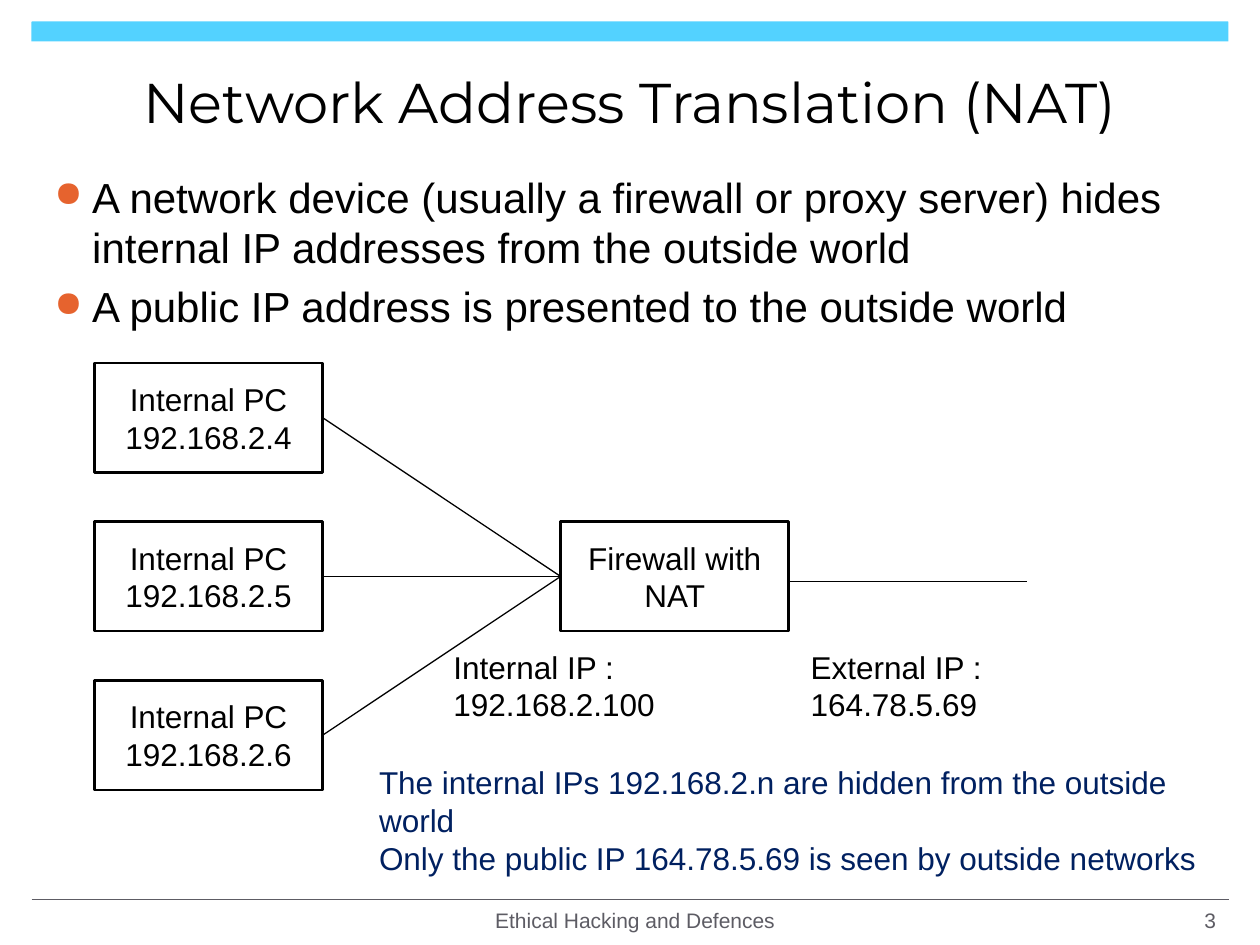
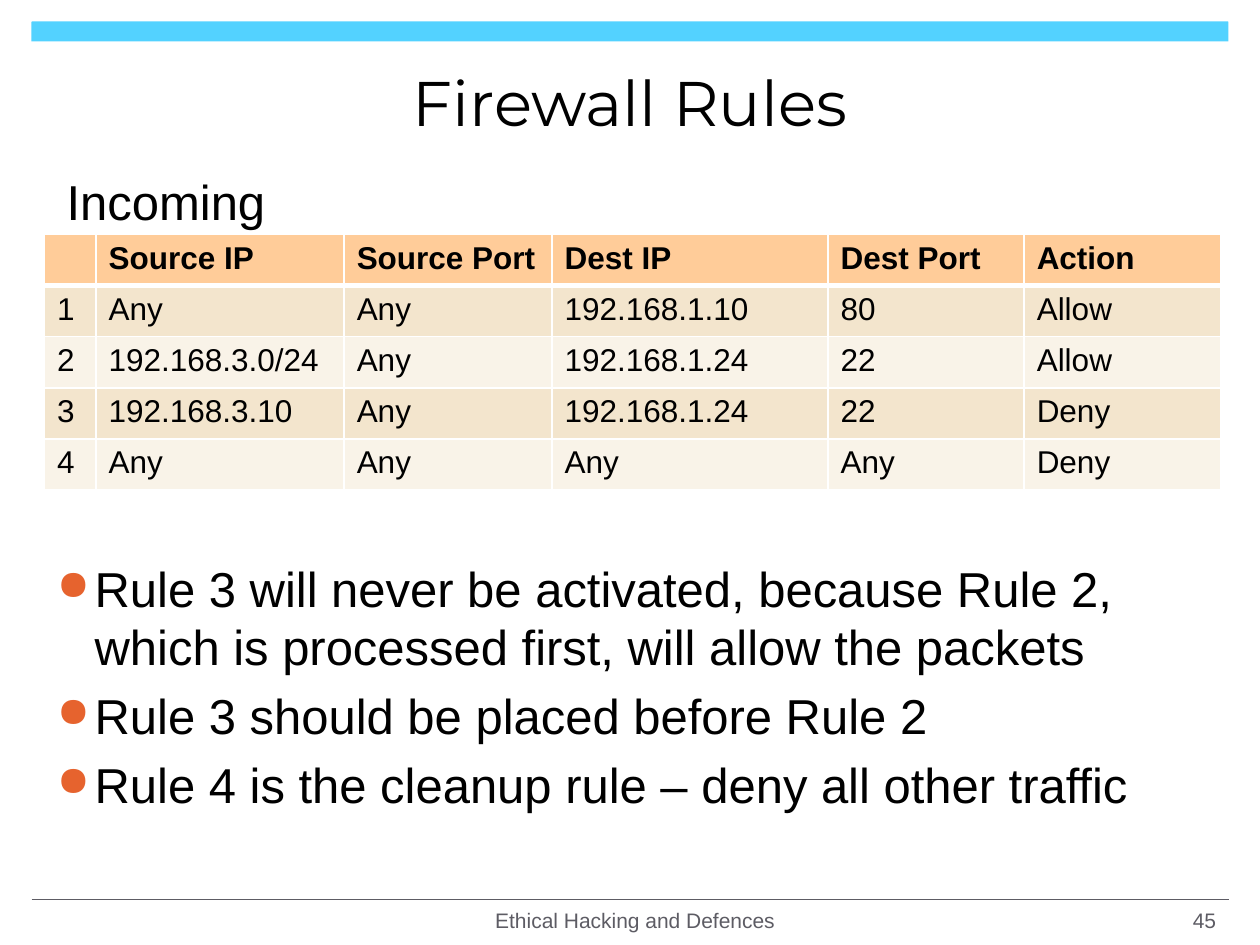
from lxml import etree
from pptx import Presentation
from pptx.dml.color import RGBColor
from pptx.enum import shapes, text
from pptx.oxml import ns
from pptx.util import Pt

BLACK = RGBColor(0x00, 0x00, 0x00)
WHITE = RGBColor(0xFF, 0xFF, 0xFF)
SKY = RGBColor(0x53, 0xD2, 0xFF)
GREY = RGBColor(0x5D, 0x5C, 0x64)
NAVY = RGBColor(0x00, 0x20, 0x60)
ORANGE = RGBColor(0xE6, 0x63, 0x2E)
PEACH = RGBColor(0xFF, 0xCC, 0x99)
SAND = RGBColor(0xF3, 0xE5, 0xCD)
CREAM = RGBColor(0xF9, 0xF3, 0xE8)

BODY_FONT, TITLE_FONT = "Arial", "Montserrat"
FOOTER = "Ethical Hacking and Defences"
LEFT, CENTER, RIGHT = text.PP_ALIGN.LEFT, text.PP_ALIGN.CENTER, text.PP_ALIGN.RIGHT
TOP, MIDDLE = text.MSO_ANCHOR.TOP, text.MSO_ANCHOR.MIDDLE

# Diagram measures
BOX_WIDTH, BOX_HEIGHT = 130.4, 62.6
PC_LEFT, PC_TOP, PC_STEP = 54, 207.4, 90.7
FIREWALL_LEFT = 320.4

# Rule table
COLUMN_WIDTHS = [29.5, 141.8, 118.8, 157.7, 112.1, 112.1]
ROW_HEIGHT = 29.2
RULES = [
    ["", "Source IP", "Source Port", "Dest IP", "Dest Port", "Action"],
    ["1", "Any", "Any", "192.168.1.10", "80", "Allow"],
    ["2", "192.168.3.0/24", "Any", "192.168.1.24", "22", "Allow"],
    ["3", "192.168.3.10", "Any", "192.168.1.24", "22", "Deny"],
    ["4", "Any", "Any", "Any", "Any", "Deny"],
]


def points(*lengths):
    return [Pt(length) for length in lengths]


def add_child(parent, tag, **attributes):
    return etree.SubElement(parent, ns.qn(tag), attributes)


def write(paragraph, content, size, color=BLACK, name=BODY_FONT, bold=False):
    run = paragraph.add_run()
    run.text = content
    run.font.color.rgb = color
    formats = {"size": Pt(size), "name": name, "bold": bold}
    for attribute, value in formats.items():
        setattr(run.font, attribute, value)


def fill_frame(frame, lines, size, align=LEFT, anchor=TOP, wrap=True, **formats):
    frame.word_wrap = wrap
    frame.vertical_anchor = anchor
    for index, line in enumerate(lines):
        paragraph = frame.add_paragraph() if index else frame.paragraphs[0]
        paragraph.alignment = align
        write(paragraph, line, size, **formats)


def add_text(slide, place, lines, size, **formats):
    shape = slide.shapes.add_textbox(*points(*place))
    fill_frame(shape.text_frame, lines, size, **formats)
    return shape


def add_bullets(slide, place, lines, size):
    shape = add_text(slide, place, lines, size)
    for index, paragraph in enumerate(shape.text_frame.paragraphs):
        properties = paragraph._p.get_or_add_pPr()
        properties.set("marL", str(Pt(21.6)))
        properties.set("indent", str(-Pt(21.6)))
        add_child(add_child(properties, "a:buClr"), "a:srgbClr", val=str(ORANGE))
        add_child(properties, "a:buSzPct", val="85000")
        add_child(properties, "a:buChar", char="●")
        if index:
            paragraph.space_before = Pt(size * 0.2)


def add_box(slide, left, top, label):
    box = slide.shapes.add_shape(shapes.MSO_SHAPE.RECTANGLE,
                                 *points(left, top, BOX_WIDTH, BOX_HEIGHT))
    box.shadow.inherit = False
    box.fill.background()
    box.line.color.rgb = BLACK
    box.line.width = Pt(1.5)
    fill_frame(box.text_frame, [label], 18, align=CENTER, anchor=MIDDLE)
    return box


def add_line(slide, ends=(0, 0, 0, 0), color=BLACK, width=0.75):
    line = slide.shapes.add_connector(shapes.MSO_CONNECTOR.STRAIGHT, *points(*ends))
    line.line.color.rgb = color
    line.line.width = Pt(width)
    add_child(line._element.spPr, "a:effectLst")
    return line


def add_border(cell, side, width):
    border = add_child(cell._tc.get_or_add_tcPr(), f"a:ln{side}", w=str(Pt(width)))
    add_child(add_child(border, "a:solidFill"), "a:srgbClr", val=str(WHITE))


def add_rule_table(slide, left, top):
    place = points(left, top, sum(COLUMN_WIDTHS), ROW_HEIGHT * len(RULES))
    table = slide.shapes.add_table(len(RULES), len(COLUMN_WIDTHS), *place).table
    table.first_row = table.horz_banding = False
    for column, width in zip(table.columns, COLUMN_WIDTHS):
        column.width = Pt(width)
    for row, values in enumerate(RULES):
        table.rows[row].height = Pt(ROW_HEIGHT)
        color = PEACH if row == 0 else SAND if row % 2 else CREAM
        for column, value in enumerate(values):
            cell = table.cell(row, column)
            # Borders come before the fill in the cell properties
            widths = {"L": 1, "R": 1, "T": 3 if row == 1 else 1, "B": 1 if row else 3}
            for side, width in widths.items():
                add_border(cell, side, width)
            cell.fill.solid()
            cell.fill.fore_color.rgb = color
            if value:
                write(cell.text_frame.paragraphs[0], value, 18, bold=row == 0)


def start_slide(presentation, title, title_size, number):
    slide = presentation.slides.add_slide(presentation.slide_layouts[6])
    band = slide.shapes.add_shape(shapes.MSO_SHAPE.ROUND_2_SAME_RECTANGLE,
                                  *points(18, 12.2, 684, 11.5))
    band.adjustments[0] = 0.05
    band.shadow.inherit = False
    band.fill.solid()
    band.fill.fore_color.rgb = SKY
    band.line.fill.background()
    add_line(slide, (18, 514, 702, 514), GREY, 1)
    add_text(slide, (24, 21.6, 672, 72.7), [title], title_size,
             align=CENTER, anchor=MIDDLE, name=TITLE_FONT)
    add_text(slide, (228, 513.4, 270, 25.2), [FOOTER], 12,
             align=CENTER, anchor=MIDDLE, color=GREY)
    add_text(slide, (534, 513.4, 168, 25.2), [str(number)], 12,
             align=RIGHT, anchor=MIDDLE, color=GREY)
    return slide


def build_nat(presentation):
    slide = start_slide(presentation, "Network Address Translation (NAT)", 32, 3)
    add_bullets(slide, (24, 94.3, 672, 404), [
        "A network device (usually a firewall or proxy server) hides internal "
        "IP addresses from the outside world",
        "A public IP address is presented to the outside world",
    ], 24)

    # Internal computers joined to the firewall
    firewall = add_box(slide, FIREWALL_LEFT, PC_TOP + PC_STEP, "Firewall with NAT")
    for index in range(3):
        computer = add_box(slide, PC_LEFT, PC_TOP + index * PC_STEP,
                           f"Internal PC 192.168.2.{index + 4}")
        link = add_line(slide)
        link.begin_connect(computer, 3)
        link.end_connect(firewall, 1)

    # Outside link and address labels
    add_line(slide, (FIREWALL_LEFT + BOX_WIDTH, 332.4, 586.8, 332.4))
    for left, label in ((252, "Internal IP : 192.168.2.100"),
                        (456.2, "External IP : 164.78.5.69")):
        add_text(slide, (left, 366.5, 153.4, 51), [label], 18)
    add_text(slide, (209.5, 432.7, 481.7, 72.7), [
        "The internal IPs 192.168.2.n are hidden from the outside world",
        "Only the public IP 164.78.5.69 is seen by outside networks",
    ], 18, color=NAVY)


def build_rules(presentation):
    slide = start_slide(presentation, "Firewall Rules", 36, 45)
    add_text(slide, (31, 94.3, 129.6, 41), ["Incoming"], 28, wrap=False)
    add_rule_table(slide, 25.4, 134)
    add_bullets(slide, (25.4, 315.4, 672, 166), [
        "Rule 3 will never be activated, because Rule 2, which is processed "
        "first, will allow the packets",
        "Rule 3 should be placed before Rule 2",
        "Rule 4 is the cleanup rule – deny all other traffic",
    ], 28)


def main():
    presentation = Presentation()
    presentation.slide_width, presentation.slide_height = points(720, 540)
    build_nat(presentation)
    build_rules(presentation)
    presentation.save("out.pptx")


if __name__ == "__main__":
    main()
